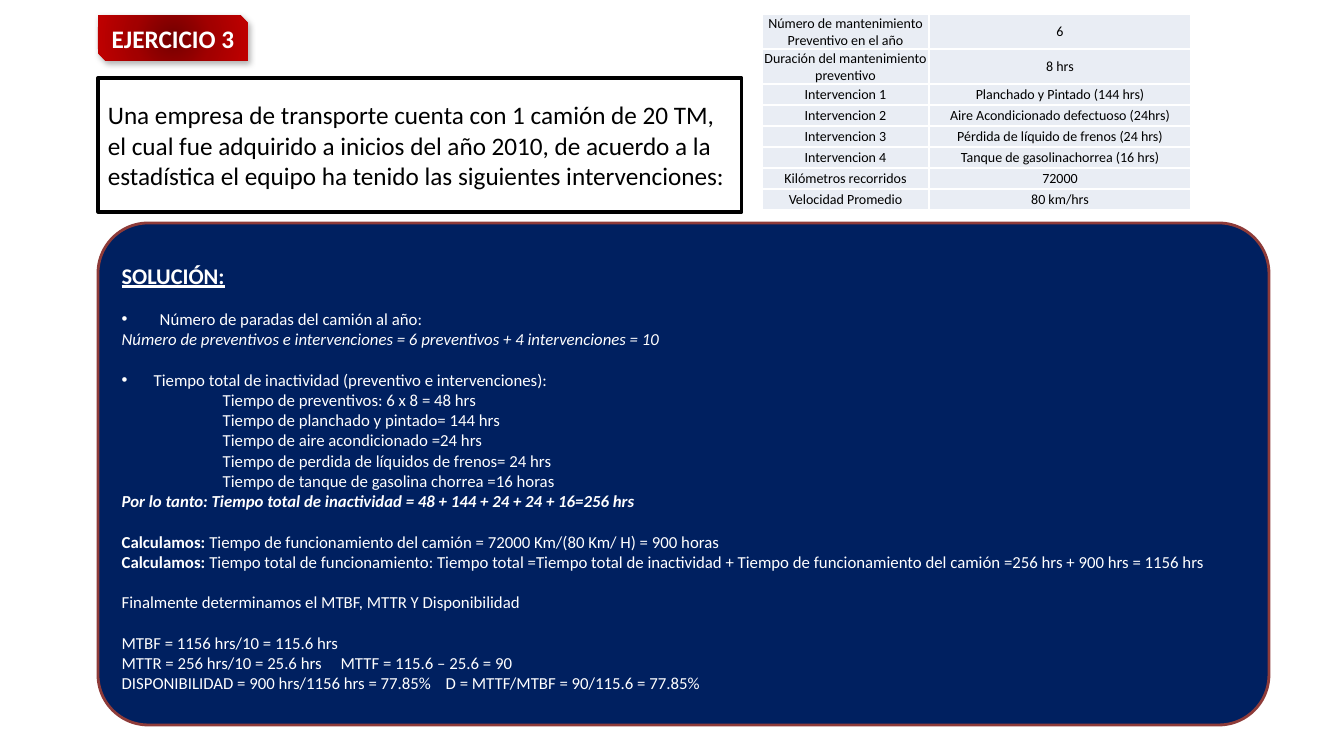
from lxml.etree import SubElement
from pptx import Presentation
from pptx.dml.color import RGBColor
from pptx.enum.shapes import MSO_SHAPE
from pptx.enum.text import MSO_ANCHOR, PP_ALIGN
from pptx.oxml import parse_xml
from pptx.oxml.ns import nsdecls, qn
from pptx.util import Pt

SLIDE_SIZE = (1344, 756)
EMU_PER_PX = 914400 / 100.8
FONT = "Calibri"
COLORS = {
    "white": "FFFFFF", "black": "000000", "navy": "002060", "brick": "8E3B39",
    "cell": "E9EDF4", "red_dark": "720000", "red_mid": "A20000", "red": "C00000",
}
TITLE = "EJERCICIO 3"
STATEMENT = (
    "Una empresa de transporte cuenta con 1 camión de 20 TM, el cual fue adquirido a "
    "inicios del año 2010, de acuerdo a la estadística el equipo ha tenido las "
    "siguientes intervenciones:"
)
TABLE_ROWS = [
    ("Número de mantenimiento Preventivo en el año", "6"),
    ("Duración del mantenimiento preventivo", "8 hrs"),
    ("Intervencion 1", "Planchado y Pintado (144 hrs)"),
    ("Intervencion 2", "Aire Acondicionado defectuoso (24hrs)"),
    ("Intervencion 3", "Pérdida de líquido de frenos (24 hrs)"),
    ("Intervencion 4", "Tanque de gasolinachorrea (16 hrs)"),
    ("Kilómetros recorridos", "72000"),
    ("Velocidad Promedio", "80 km/hrs"),
]
COLUMN_WIDTHS = (167, 262)
ROW_HEIGHTS = [35] * 2 + [21] * 6

# Each block is set apart by one line; a line is a list of (text, style) runs.
# Styles: b bold, i italic, u underlined. Options: bullet, indent, tab (px).
SOLUTION_BLOCKS = [
    [([("SOLUCIÓN:", "bu")], {})],
    [
        ([("Número de paradas del camión al año:", "")], {"bullet": 38}),
        ([("Número de preventivos e intervenciones = 6 preventivos + 4 intervenciones = 10",
           "i")], {}),
    ],
    [
        ([("Tiempo total de inactividad (preventivo e intervenciones):", "")], {"bullet": 32}),
        ([("Tiempo de preventivos: 6 x 8 = 48 hrs", "")], {"indent": 101}),
        ([("Tiempo de planchado y pintado= 144 hrs", "")], {"indent": 101}),
        ([("Tiempo de aire acondicionado =24 hrs", "")], {"indent": 101}),
        ([("Tiempo de perdida de líquidos de frenos= 24 hrs", "")], {"indent": 101}),
        ([("Tiempo de tanque de gasolina chorrea =16 horas", "")], {"indent": 101}),
        ([("Por lo tanto: Tiempo total de inactividad = 48 + 144 + 24 + 24 + 16=256 hrs",
           "bi")], {}),
    ],
    [
        ([("Calculamos: ", "b"),
          ("Tiempo de funcionamiento del camión = 72000 Km/(80 Km/ H) = 900 horas", "")], {}),
        ([("Calculamos: ", "b"),
          ("Tiempo total de funcionamiento: Tiempo total =Tiempo total de inactividad + "
           "Tiempo de funcionamiento del camión =256 hrs + 900 hrs = 1156 hrs", "")], {}),
    ],
    [([("Finalmente determinamos el MTBF, MTTR Y Disponibilidad", "")], {})],
    [
        ([("MTBF = 1156 hrs/10 = 115.6 hrs", "")], {}),
        ([("MTTR = 256 hrs/10 = 25.6 hrs\tMTTF = 115.6 – 25.6 = 90", "")], {"tab": 219}),
        ([("DISPONIBILIDAD = 900 hrs/1156 hrs = 77.85%\tD = MTTF/MTBF = 90/115.6 = 77.85%",
           "")], {"tab": 324}),
    ],
]
BLOCK_GAP = Pt(14.6)


def px(length):
    return round(length * EMU_PER_PX)


def rgb(name):
    return RGBColor.from_string(COLORS[name])


def format_run(run, size, color, style=""):
    font = run.font
    font.name, font.size = FONT, Pt(size)
    font.color.rgb = rgb(color)
    font.bold, font.italic, font.underline = ("b" in style, "i" in style, "u" in style)


def add_box(slide, kind, box, fill, line=None, line_width=0):
    shape = slide.shapes.add_shape(kind, *map(px, box))
    shape.shadow.inherit = False
    shape.fill.solid()
    shape.fill.fore_color.rgb = rgb(fill)
    if line:
        shape.line.color.rgb = rgb(line)
        shape.line.width = Pt(line_width)
    else:
        shape.line.fill.background()
    shape.text_frame.word_wrap = True
    shape.text_frame.vertical_anchor = MSO_ANCHOR.MIDDLE
    return shape


def write_line(shape, text, size, color, style=""):
    paragraph = shape.text_frame.paragraphs[0]
    paragraph.text = text
    paragraph.alignment = PP_ALIGN.LEFT
    format_run(paragraph.runs[0], size, color, style)


def add_glow_fill(shape):
    """Radial red gradient and soft drop shadow for the title tag."""
    stops = "".join(
        f'<a:gs pos="{position}"><a:srgbClr val="{COLORS[name]}"/></a:gs>'
        for position, name in ((0, "red_dark"), (50000, "red_mid"), (100000, "red"))
    )
    gradient = parse_xml(
        f'<a:gradFill {nsdecls("a")} rotWithShape="1"><a:gsLst>{stops}</a:gsLst>'
        '<a:path path="circle"><a:fillToRect l="50000" t="50000" r="50000" b="50000"/>'
        "</a:path></a:gradFill>"
    )
    properties = shape.element.spPr
    properties.replace(properties.find(qn("a:solidFill")), gradient)
    properties.find(qn("a:effectLst")).append(parse_xml(
        f'<a:outerShdw {nsdecls("a")} blurRad="{Pt(4.5)}" dist="{Pt(2.6)}" dir="3180000" '
        f'rotWithShape="0"><a:srgbClr val="{COLORS["black"]}"><a:alpha val="30000"/>'
        "</a:srgbClr></a:outerShdw>"
    ))


def set_layout(paragraph, bullet=0, indent=0, tab=0):
    properties = paragraph._p.get_or_add_pPr()
    if bullet or indent:
        properties.set("marL", str(px(bullet or indent)))
    if bullet:
        properties.set("indent", str(-px(bullet)))
        SubElement(properties, qn("a:buFont"), typeface="Arial")
        SubElement(properties, qn("a:buChar"), char="•")
    if tab:
        tabs = SubElement(properties, qn("a:tabLst"))
        SubElement(tabs, qn("a:tab"), pos=str(px(tab)), algn="l")


def write_solution(frame):
    frame.vertical_anchor = MSO_ANCHOR.TOP
    frame.margin_top, frame.margin_left = px(24), px(9)
    for block_index, block in enumerate(SOLUTION_BLOCKS):
        for line_index, (runs, layout) in enumerate(block):
            first = block_index == line_index == 0
            paragraph = frame.paragraphs[0] if first else frame.add_paragraph()
            paragraph.alignment = PP_ALIGN.LEFT
            if line_index == 0 and not first:
                paragraph.space_before = BLOCK_GAP
            set_layout(paragraph, **layout)
            for text, style in runs:
                run = paragraph.add_run()
                run.text = text
                format_run(run, 16 if first else 12, "white", style)


def fill_cell(cell, text):
    cell.fill.solid()
    cell.fill.fore_color.rgb = rgb("cell")
    cell.vertical_anchor = MSO_ANCHOR.MIDDLE
    cell.margin_left = cell.margin_right = cell.margin_top = px(1)
    cell.margin_bottom = 0
    paragraph = cell.text_frame.paragraphs[0]
    paragraph.text = text
    paragraph.alignment = PP_ALIGN.CENTER
    format_run(paragraph.runs[0], 10, "black")
    for position, side in enumerate(("lnL", "lnR", "lnT", "lnB")):
        cell._tc.get_or_add_tcPr().insert(position, parse_xml(
            f'<a:{side} {nsdecls("a")} w="{Pt(1)}"><a:solidFill>'
            f'<a:srgbClr val="{COLORS["white"]}"/></a:solidFill></a:{side}>'
        ))


def add_data_table(slide, left, top):
    size = (sum(COLUMN_WIDTHS), sum(ROW_HEIGHTS))
    table = slide.shapes.add_table(
        len(TABLE_ROWS), len(COLUMN_WIDTHS), *map(px, (left, top, *size))).table
    table.first_row = table.horz_banding = False
    for column, width in zip(table.columns, COLUMN_WIDTHS):
        column.width = px(width)
    for row, height, texts in zip(table.rows, ROW_HEIGHTS, TABLE_ROWS):
        row.height = px(height)
        for cell, text in zip(row.cells, texts):
            fill_cell(cell, text)


def main():
    presentation = Presentation()
    presentation.slide_width, presentation.slide_height = map(px, SLIDE_SIZE)
    slide = presentation.slides.add_slide(presentation.slide_layouts[6])
    statement = add_box(slide, MSO_SHAPE.RECTANGLE, (98, 78, 644, 134), "white", "black", 2.25)
    write_line(statement, STATEMENT, 18, "black")
    title = add_box(slide, MSO_SHAPE.SNIP_2_DIAG_RECTANGLE, (98, 15, 150, 46), "red")
    add_glow_fill(title)
    title.text_frame.margin_right = 0
    write_line(title, TITLE, 18, "white", "b")
    solution = add_box(
        slide, MSO_SHAPE.ROUNDED_RECTANGLE, (98, 223, 1171, 502), "navy", "brick", 2)
    solution.adjustments[0] = 0.1
    write_solution(solution.text_frame)
    add_data_table(slide, 762, 14)
    presentation.save("out.pptx")


if __name__ == "__main__":
    main()
